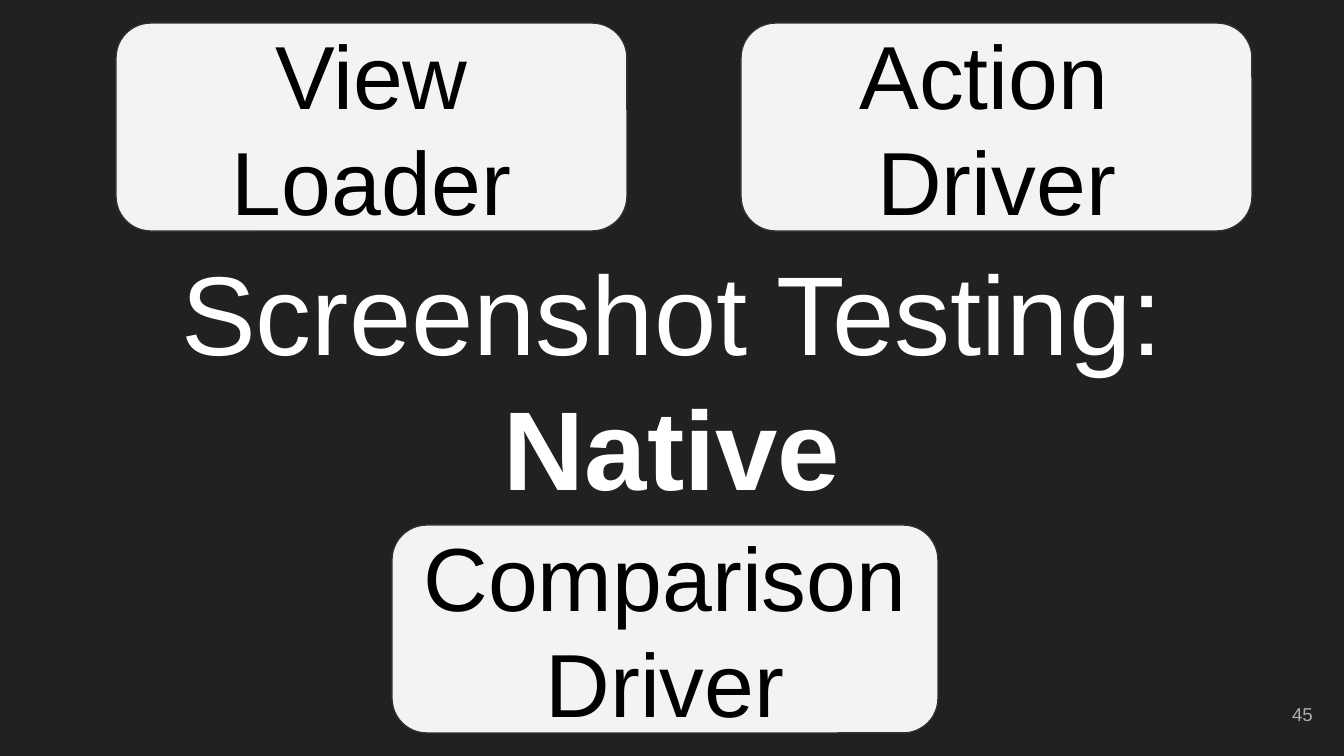
from dataclasses import dataclass

import pptx
import pptx.dml.color
import pptx.enum.shapes
import pptx.enum.text
import pptx.util

EMU_PER_PX = 914400 / 134.4
ALIGN = pptx.enum.text.PP_ALIGN


@dataclass(frozen=True)
class Theme:
    font: str = "Arial"
    background: str = "212121"
    card_fill: str = "F3F3F3"
    card_line: str = "303030"
    card_text: str = "000000"
    title_text: str = "FFFFFF"
    number_text: str = "ADADAD"
    title_size: int = 60
    card_size: int = 48
    number_size: int = 10
    title_leading: float = 72.3
    card_leading: float = 57.3


@dataclass(frozen=True)
class Box:
    left: int
    top: int
    width: int
    height: int

    def emu(self) -> list[pptx.util.Emu]:
        return [px(n) for n in (self.left, self.top, self.width, self.height)]


@dataclass(frozen=True)
class Card:
    lines: tuple[str, ...]
    box: Box


THEME = Theme()
CARD_HEIGHT = 208
CARDS = (
    Card(("Action ", "Driver"), Box(741, 23, 511, CARD_HEIGHT)),
    Card(("View", "Loader"), Box(116, 23, 511, CARD_HEIGHT)),
    Card(("Comparison", "Driver"), Box(392, 525, 546, CARD_HEIGHT)),
)


def px(length: int) -> pptx.util.Emu:
    return pptx.util.Emu(round(length * EMU_PER_PX))


def rgb(value: str) -> pptx.dml.color.RGBColor:
    return pptx.dml.color.RGBColor.from_string(value)


def write(shape, lines: tuple[str, ...], *, size: int, color: str,
          align=ALIGN.CENTER, leading: float | None = None,
          bold_line: int | None = None) -> None:
    """Fill a shape with one paragraph per line."""
    frame = shape.text_frame
    frame.word_wrap = True
    frame.vertical_anchor = pptx.enum.text.MSO_ANCHOR.MIDDLE
    inset = pptx.util.Inches(0.1)
    frame.margin_left = frame.margin_right = inset
    frame.margin_top = frame.margin_bottom = inset
    for index, line in enumerate(lines):
        paragraph = frame.paragraphs[0] if index == 0 else frame.add_paragraph()
        paragraph.alignment = align
        if leading:
            paragraph.line_spacing = pptx.util.Pt(leading)
        run = paragraph.add_run()
        run.text = line
        run.font.name = THEME.font
        run.font.size = pptx.util.Pt(size)
        run.font.bold = index == bold_line
        run.font.color.rgb = rgb(color)


def draw_card(slide, card: Card) -> None:
    shape = slide.shapes.add_shape(
        pptx.enum.shapes.MSO_SHAPE.ROUNDED_RECTANGLE, *card.box.emu())
    shape.shadow.inherit = False
    shape.fill.solid()
    shape.fill.fore_color.rgb = rgb(THEME.card_fill)
    shape.line.color.rgb = rgb(THEME.card_line)
    shape.line.width = pptx.util.Pt(0.75)
    write(shape, card.lines, size=THEME.card_size, color=THEME.card_text,
          leading=THEME.card_leading)


def main() -> None:
    deck = pptx.Presentation()
    deck.slide_width, deck.slide_height = px(1344), px(756)
    slide = deck.slides.add_slide(deck.slide_layouts[6])
    slide.background.fill.solid()
    slide.background.fill.fore_color.rgb = rgb(THEME.background)

    # Title
    title = slide.shapes.add_textbox(*Box(46, 316, 1252, 124).emu())
    write(title, ("Screenshot Testing:", "Native"), size=THEME.title_size,
          color=THEME.title_text, leading=THEME.title_leading, bold_line=1)

    # Component cards
    for card in CARDS:
        draw_card(slide, card)

    # Slide number
    number = slide.shapes.add_textbox(*Box(1246, 685, 80, 58).emu())
    write(number, ("45",), size=THEME.number_size, color=THEME.number_text,
          align=ALIGN.RIGHT)

    deck.save("out.pptx")


if __name__ == "__main__":
    main()
